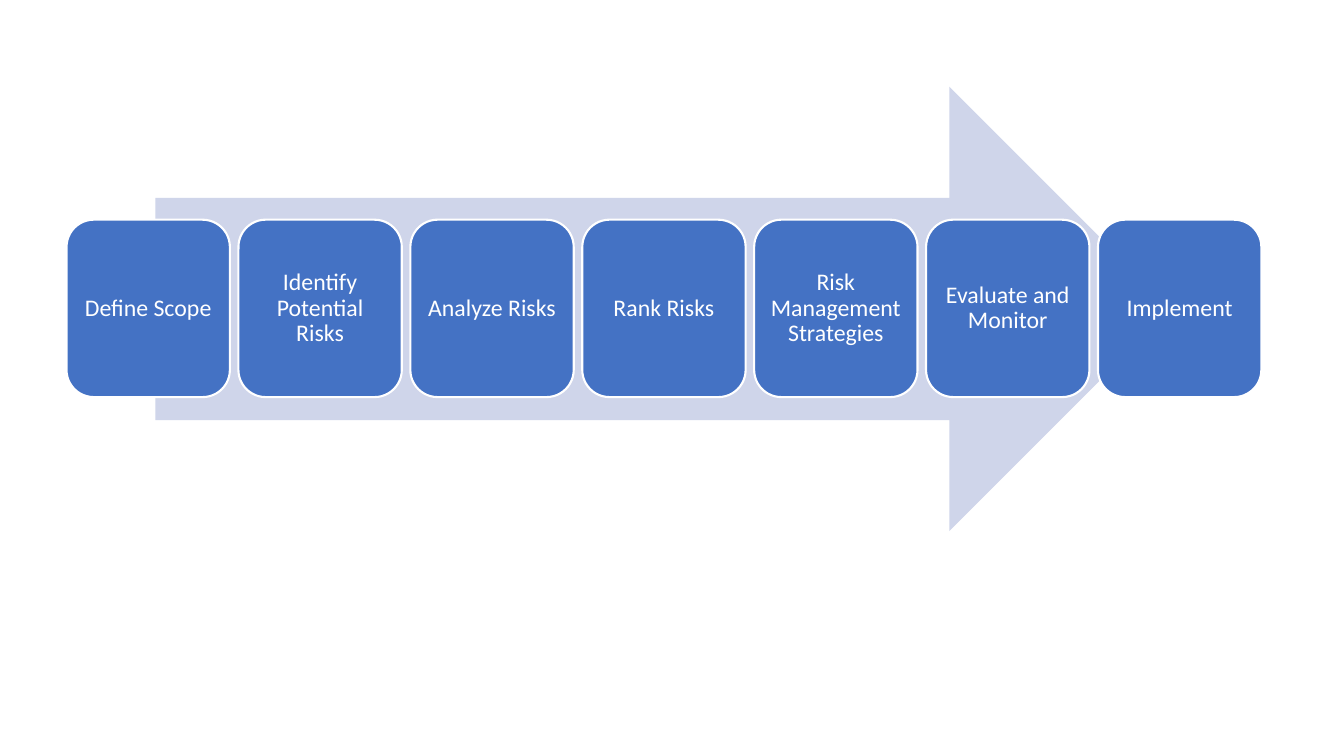
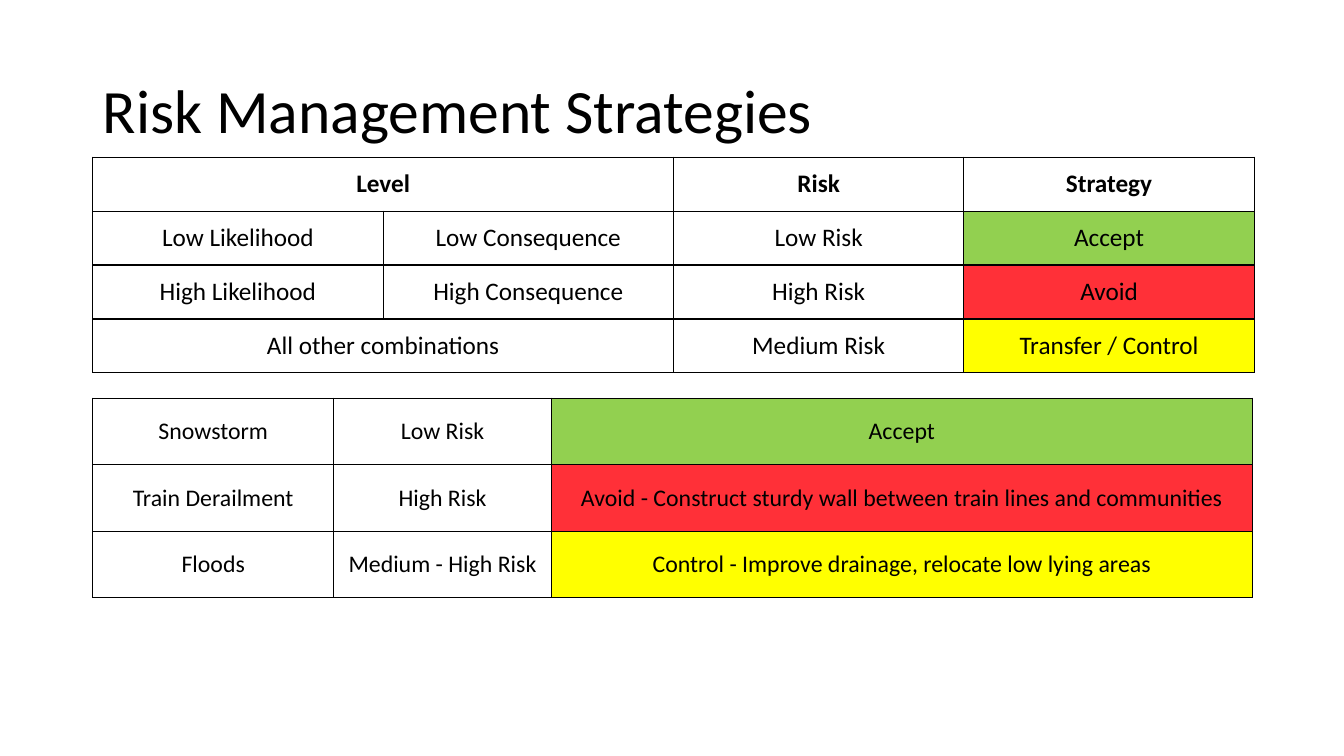
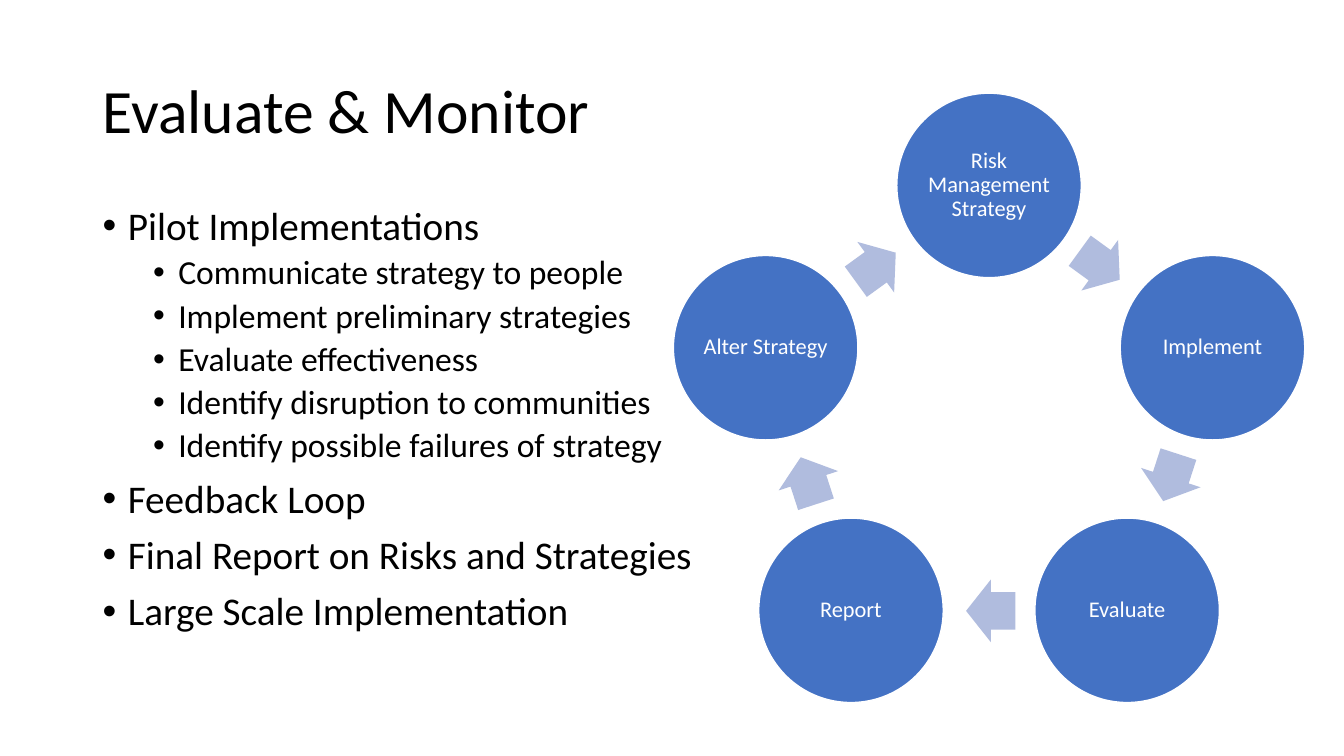
"""Build three slides on the steps, strategies and feedback loop of risk management."""
import dataclasses
import math
import typing

import lxml.etree
import pptx
import pptx.dml.color
import pptx.enum.shapes
import pptx.enum.text
import pptx.oxml.ns
import pptx.util

Inches = pptx.util.Inches
Pt = pptx.util.Pt
Kind = pptx.enum.shapes.MSO_SHAPE
Align = pptx.enum.text.PP_ALIGN
MIDDLE = pptx.enum.text.MSO_ANCHOR.MIDDLE
TOP = pptx.enum.text.MSO_ANCHOR.TOP


@dataclasses.dataclass(frozen=True)
class Theme:
    font: str = "Calibri"
    ink: str = "000000"
    paper: str = "FFFFFF"
    blue: str = "4472C4"
    pale_arrow: str = "CFD5EA"
    cycle_arrow: str = "B0BCDE"
    green: str = "92D050"
    red: str = "FF000B"
    yellow: str = "FFFF00"
    red_opacity: int = 81
    title_size: int = 44
    body_size: int = 28
    detail_size: int = 24
    table_size: int = 18
    small_size: int = 17
    cycle_size: int = 16


THEME = Theme()


@dataclasses.dataclass(frozen=True)
class Area:
    left: float
    top: float
    width: float
    height: float

    def lengths(self) -> tuple[int, ...]:
        return tuple(Inches(value) for value in dataclasses.astuple(self))


@dataclasses.dataclass(frozen=True)
class Style:
    size: int
    color: str = THEME.ink
    bold: bool = False
    align: Align = Align.LEFT
    line_spacing: float = 0.9


@dataclasses.dataclass(frozen=True)
class Bullet:
    text: str
    level: int = 0


@dataclasses.dataclass(frozen=True)
class Grid:
    area: Area
    widths: tuple[float, ...]
    rows: tuple[tuple[str, ...], ...]
    size: int
    header: bool = False
    merged_rows: tuple[int, ...] = ()


TITLE_AREA = Area(0.92, 0.4, 11.5, 1.45)
TITLE_STYLE = Style(THEME.title_size)
ROW_FILLS = (THEME.green, THEME.red, THEME.yellow)

STEPS = (
    "Define Scope", "Identify Potential Risks", "Analyze Risks", "Rank Risks",
    "Risk Management Strategies", "Evaluate and Monitor", "Implement",
)
CYCLE = ("Risk Management Strategy", "Implement", "Evaluate", "Report", "Alter Strategy")
BULLETS = (
    Bullet("Pilot Implementations"),
    Bullet("Communicate strategy to people", 1),
    Bullet("Implement preliminary strategies", 1),
    Bullet("Evaluate effectiveness", 1),
    Bullet("Identify disruption to communities", 1),
    Bullet("Identify possible failures of strategy", 1),
    Bullet("Feedback Loop"),
    Bullet("Final Report on Risks and Strategies"),
    Bullet("Large Scale Implementation"),
)
GRIDS = (
    Grid(
        Area(0.92, 1.56, 11.5, 2.14), (2.88,) * 4,
        (
            ("Level", "", "Risk", "Strategy"),
            ("Low Likelihood", "Low Consequence", "Low Risk", "Accept"),
            ("High Likelihood", "High Consequence", "High Risk", "Avoid"),
            ("All other combinations", "", "Medium Risk", "Transfer / Control"),
        ),
        THEME.table_size, header=True, merged_rows=(0, 3),
    ),
    Grid(
        Area(0.92, 3.95, 11.5, 1.98), (2.39, 2.16, 6.95),
        (
            ("Snowstorm", "Low Risk", "Accept"),
            ("Train Derailment", "High Risk",
             "Avoid - Construct sturdy wall between train lines and communities"),
            ("Floods", "Medium - High Risk",
             "Control - Improve drainage, relocate low lying areas"),
        ),
        THEME.small_size,
    ),
)


def rgb(color: str) -> pptx.dml.color.RGBColor:
    return pptx.dml.color.RGBColor.from_string(color)


def apply(target: typing.Any, formats: dict[str, typing.Any]) -> None:
    for name, value in formats.items():
        setattr(target, name, value)


def margins(across: float, down: float) -> dict[str, int]:
    return {
        "margin_left": Inches(across), "margin_right": Inches(across),
        "margin_top": Inches(down), "margin_bottom": Inches(down),
    }


def add_xml(parent: typing.Any, tag: str, **values: str) -> typing.Any:
    return lxml.etree.SubElement(parent, pptx.oxml.ns.qn(tag), values)


def write(para: typing.Any, text: str, style: Style) -> None:
    apply(para, {"alignment": style.align, "line_spacing": style.line_spacing})
    span = para.add_run()
    span.text = text
    apply(span.font, {"name": THEME.font, "size": Pt(style.size), "bold": style.bold})
    span.font.color.rgb = rgb(style.color)


def add_box(page: typing.Any, area: Area, anchor: typing.Any) -> typing.Any:
    frame = page.shapes.add_textbox(*area.lengths()).text_frame
    apply(frame, {"word_wrap": True, "vertical_anchor": anchor})
    return frame


def add_title(page: typing.Any, text: str) -> None:
    write(add_box(page, TITLE_AREA, MIDDLE).paragraphs[0], text, TITLE_STYLE)


def add_shape(page: typing.Any, kind: Kind, area: Area, fill: str,
              line_width: float = 0) -> typing.Any:
    shape = page.shapes.add_shape(kind, *area.lengths())
    shape.shadow.inherit = False
    shape.fill.solid()
    shape.fill.fore_color.rgb = rgb(fill)
    if line_width:
        shape.line.color.rgb = rgb(THEME.paper)
        shape.line.width = Pt(line_width)
    else:
        shape.line.fill.background()
    return shape


def add_label(shape: typing.Any, text: str, size: int, margin: float) -> None:
    frame = shape.text_frame
    apply(frame, {"word_wrap": True, "vertical_anchor": MIDDLE, **margins(margin, margin)})
    write(frame.paragraphs[0], text, Style(size, THEME.paper, align=Align.CENTER))


def add_bullets(page: typing.Any, area: Area, bullets: tuple[Bullet, ...]) -> None:
    frame = add_box(page, area, TOP)
    for index, bullet in enumerate(bullets):
        para = frame.add_paragraph() if index else frame.paragraphs[0]
        properties = para._p.get_or_add_pPr()
        properties.set("marL", str(Inches(0.25 + 0.5 * bullet.level)))
        properties.set("indent", str(Inches(-0.25)))
        add_xml(properties, "a:buFont", typeface="Arial")
        add_xml(properties, "a:buChar", char="•")
        para.level = bullet.level
        if index:
            para.space_before = Pt(5 if bullet.level else 10)
        write(para, bullet.text, Style(THEME.detail_size if bullet.level else THEME.body_size))


def add_borders(cell: typing.Any) -> None:
    properties = cell._tc.get_or_add_tcPr()
    for side in ("a:lnL", "a:lnR", "a:lnT", "a:lnB"):
        line = add_xml(properties, side, w=str(Pt(1)))
        add_xml(add_xml(line, "a:solidFill"), "a:srgbClr", val=THEME.ink)


def fill_cell(cell: typing.Any, color: str) -> None:
    cell.fill.solid()
    cell.fill.fore_color.rgb = rgb(color)
    if color == THEME.red:
        solid = cell._tc.get_or_add_tcPr().find(pptx.oxml.ns.qn("a:solidFill"))
        add_xml(solid[0], "a:alpha", val=str(THEME.red_opacity * 1000))


def add_grid(page: typing.Any, grid: Grid) -> None:
    table = page.shapes.add_table(
        len(grid.rows), len(grid.widths), *grid.area.lengths()).table
    apply(table, {"first_row": False, "horz_banding": False})
    for column, width in zip(table.columns, grid.widths):
        column.width = Inches(width)
    for row_index, texts in enumerate(grid.rows):
        is_header = grid.header and row_index == 0
        style = Style(grid.size, bold=is_header, align=Align.CENTER, line_spacing=1.0)
        for column_index, text in enumerate(texts):
            cell = table.cell(row_index, column_index)
            apply(cell, {"vertical_anchor": MIDDLE, **margins(0.03, 0.02)})
            add_borders(cell)
            if column_index == len(texts) - 1 and not is_header:
                fill_cell(cell, ROW_FILLS[row_index - grid.header])
            else:
                cell.fill.background()
            if text:
                write(cell.text_frame.paragraphs[0], text, style)
    for row_index in grid.merged_rows:
        table.cell(row_index, 0).merge(table.cell(row_index, 1))


def around(center: tuple[float, float], radius: float, degrees: float,
           width: float, height: float) -> Area:
    angle = math.radians(degrees)
    return Area(
        center[0] + radius * math.sin(angle) - width / 2,
        center[1] - radius * math.cos(angle) - height / 2,
        width, height,
    )


def draw_steps(page: typing.Any) -> None:
    add_shape(page, Kind.RIGHT_ARROW, Area(1.54, 0.86, 10.08, 4.41), THEME.pale_arrow)
    left, right, width = 0.66, 12.51, 1.62
    pitch = (right - left - width) / (len(STEPS) - 1)
    for index, step in enumerate(STEPS):
        area = Area(left + index * pitch, 2.18, width, 1.76)
        tile = add_shape(page, Kind.ROUNDED_RECTANGLE, area, THEME.blue, 1.5)
        add_label(tile, step, THEME.small_size, 0.07)


def draw_strategies(page: typing.Any) -> None:
    add_title(page, "Risk Management Strategies")
    for grid in GRIDS:
        add_grid(page, grid)


def draw_evaluation(page: typing.Any) -> None:
    add_title(page, "Evaluate & Monitor")
    add_bullets(page, Area(0.92, 2, 6.13, 4.76), BULLETS)
    center, turn = (9.81, 4.17), 360 / len(CYCLE)
    for index, stage in enumerate(CYCLE):
        degrees = index * turn
        circle = add_shape(
            page, Kind.OVAL, around(center, 2.33, degrees, 1.83, 1.83), THEME.blue, 1)
        add_label(circle, stage, THEME.cycle_size, 0.02)
        arrow = add_shape(
            page, Kind.RIGHT_ARROW,
            around(center, 1.89, degrees + 35.5, 0.49, 0.62), THEME.cycle_arrow)
        arrow.adjustments[0] = 0.6
        arrow.rotation = degrees + turn / 2


def main() -> None:
    deck = pptx.Presentation()
    apply(deck, {"slide_width": Inches(13.33), "slide_height": Inches(7.5)})
    for draw in (draw_steps, draw_strategies, draw_evaluation):
        draw(deck.slides.add_slide(deck.slide_layouts[6]))
    deck.save("out.pptx")


if __name__ == "__main__":
    main()
